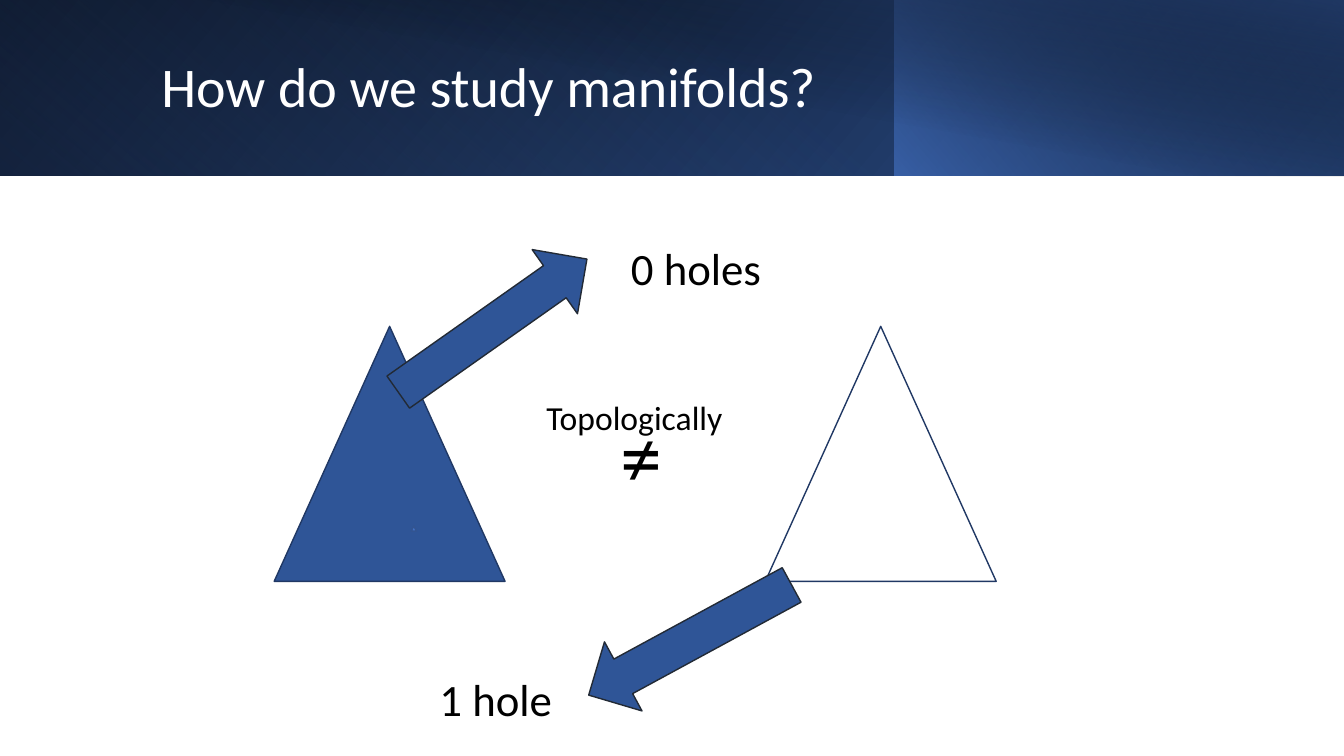
from dataclasses import dataclass

from pptx import Presentation
from pptx import util as u
from pptx.dml.color import RGBColor
from pptx.enum import shapes, text
from pptx.oxml import parse_xml
from pptx.oxml.ns import nsdecls, qn


@dataclass(frozen=True)
class Theme:
    font: str = "Calibri"
    black: str = "000000"
    white: str = "FFFFFF"
    blue: str = "2F5597"
    bright: str = "4472C4"
    navy: str = "203864"
    dot_edge: str = "325491"
    arrow_edge: str = "222A35"
    title: int = 40
    label: int = 32
    note: int = 24
    symbol: int = 60


@dataclass(frozen=True)
class Box:
    left: float
    top: float
    width: float
    height: float

    def share(self, x, y, w, h):
        """Box inside this one, given in percent of its width and height."""
        return Box(self.left + self.width * x / 100, self.top + self.height * y / 100,
                   self.width * w / 100, self.height * h / 100)

    def emu(self):
        return [u.Inches(v) for v in (self.left, self.top, self.width, self.height)]


THEME = Theme()
SLIDE = Box(0, 0, 13.33, 7.5)
BANNER = SLIDE.share(0, 0, 100, 23.2)
DIAGRAM = SLIDE.share(0, 23.2, 100, 76.8)
KINDS = shapes.MSO_SHAPE


def add_run(paragraph, words, size, color):
    run = paragraph.add_run()
    run.text = words
    run.font.name = THEME.font
    run.font.size = u.Pt(size)
    run.font.color.rgb = RGBColor.from_string(color)


def add_figure(slide, kind, box, fill=None, edge=None, turn=0):
    figure = slide.shapes.add_shape(kind, *box.emu())
    figure.shadow.inherit = False
    figure.rotation = turn
    if fill:
        figure.fill.solid()
        figure.fill.fore_color.rgb = RGBColor.from_string(fill)
    else:
        figure.fill.background()
    if edge:
        figure.line.color.rgb = RGBColor.from_string(edge)
        figure.line.width = u.Pt(1)
    else:
        figure.line.fill.background()
    return figure


def add_shade(slide, box, angle, stops, turn=0, flip=True):
    """Rectangle with gradient stops of (position, colour, opacity)."""
    shade = add_figure(slide, KINDS.RECTANGLE, box, turn=turn)
    shade.fill.gradient()
    properties = shade.element.spPr
    if flip:
        properties.find(qn("a:xfrm")).set("flipH", "1")
    stop_xml = "".join(
        f'<a:gs pos="{position * 1000}"><a:srgbClr val="{color}">'
        f'<a:alpha val="{opacity * 1000}"/></a:srgbClr></a:gs>'
        for position, color, opacity in stops)
    gradient = parse_xml(
        f'<a:gradFill {nsdecls("a")} rotWithShape="1"><a:gsLst>{stop_xml}</a:gsLst>'
        f'<a:lin ang="{angle * 60000}" scaled="0"/></a:gradFill>')
    properties.replace(properties.find(qn("a:gradFill")), gradient)


def add_label(slide, box, words, size):
    frame = slide.shapes.add_textbox(*box.emu()).text_frame
    frame.word_wrap = False
    frame.auto_size = text.MSO_AUTO_SIZE.SHAPE_TO_FIT_TEXT
    add_run(frame.paragraphs[0], words, size, THEME.black)


def build_banner(slide, box, heading):
    t = THEME
    # Layered shades
    add_shade(slide, box, 140, [(0, t.black, 100), (100, t.blue, 100)])
    add_shade(slide, box.share(0, 0, 66.6, 100), 230,
              [(20, t.bright, 0), (100, t.navy, 55)], turn=180)
    add_shade(slide, box.share(66.54, 0, 33.46, 100), 220,
              [(0, t.bright, 66), (100, t.black, 30)])
    add_shade(slide, box.share(3.75, 0, 96.25, 100.5), 280,
              [(50, t.black, 0), (99, t.navy, 52)], flip=False)

    # Title, brought in front of the shades
    title = slide.shapes.title
    title.left, title.top, title.width, title.height = box.share(11.25, 18.4, 81.17, 65).emu()
    slide.shapes.element.append(title.element)
    frame = title.text_frame
    frame.word_wrap = True
    frame.vertical_anchor = text.MSO_ANCHOR.MIDDLE
    paragraph = frame.paragraphs[0]
    paragraph.alignment = text.PP_ALIGN.LEFT
    paragraph.line_spacing = 0.9
    add_run(paragraph, heading, t.title, t.white)


def build_comparison(slide, box):
    t = THEME
    # Solid triangle, the relation, a tiny mark and the hollow triangle
    add_figure(slide, KINDS.ISOSCELES_TRIANGLE, box.share(20.4, 26, 17.18, 43.92), t.blue, t.navy)
    add_label(slide, box.share(45.46, 38.37, 4.65, 19.27), "≠", t.symbol)
    add_label(slide, box.share(39.91, 37.33, 14.7, 8.68), "Topologically", t.note)
    add_figure(slide, KINDS.ISOSCELES_TRIANGLE, box.share(30.6, 60.4, 0.38, 0.87),
               t.bright, t.dot_edge)
    add_figure(slide, KINDS.ISOSCELES_TRIANGLE, box.share(56.94, 26, 17.18, 43.92), edge=t.navy)

    # Arrows from each triangle to its count of holes
    for x, y, turn in ((28.06, 19.1, 144.8), (42.76, 73.26, 331.5)):
        add_figure(slide, KINDS.LEFT_ARROW, box.share(x, y, 17.18, 13.54),
                   t.blue, t.arrow_edge, turn)
    for x, y, width, count in ((46.21, 10.42, 11.33, "0 holes"), (31.96, 84.55, 9.98, "1 hole")):
        add_label(slide, box.share(x, y, width, 11.11), count, t.label)


def main():
    deck = Presentation()
    deck.slide_width, deck.slide_height = SLIDE.emu()[2:]
    slide = deck.slides.add_slide(deck.slide_layouts[5])
    build_banner(slide, BANNER, "How do we study manifolds?")
    build_comparison(slide, DIAGRAM)
    deck.save("out.pptx")


if __name__ == "__main__":
    main()
